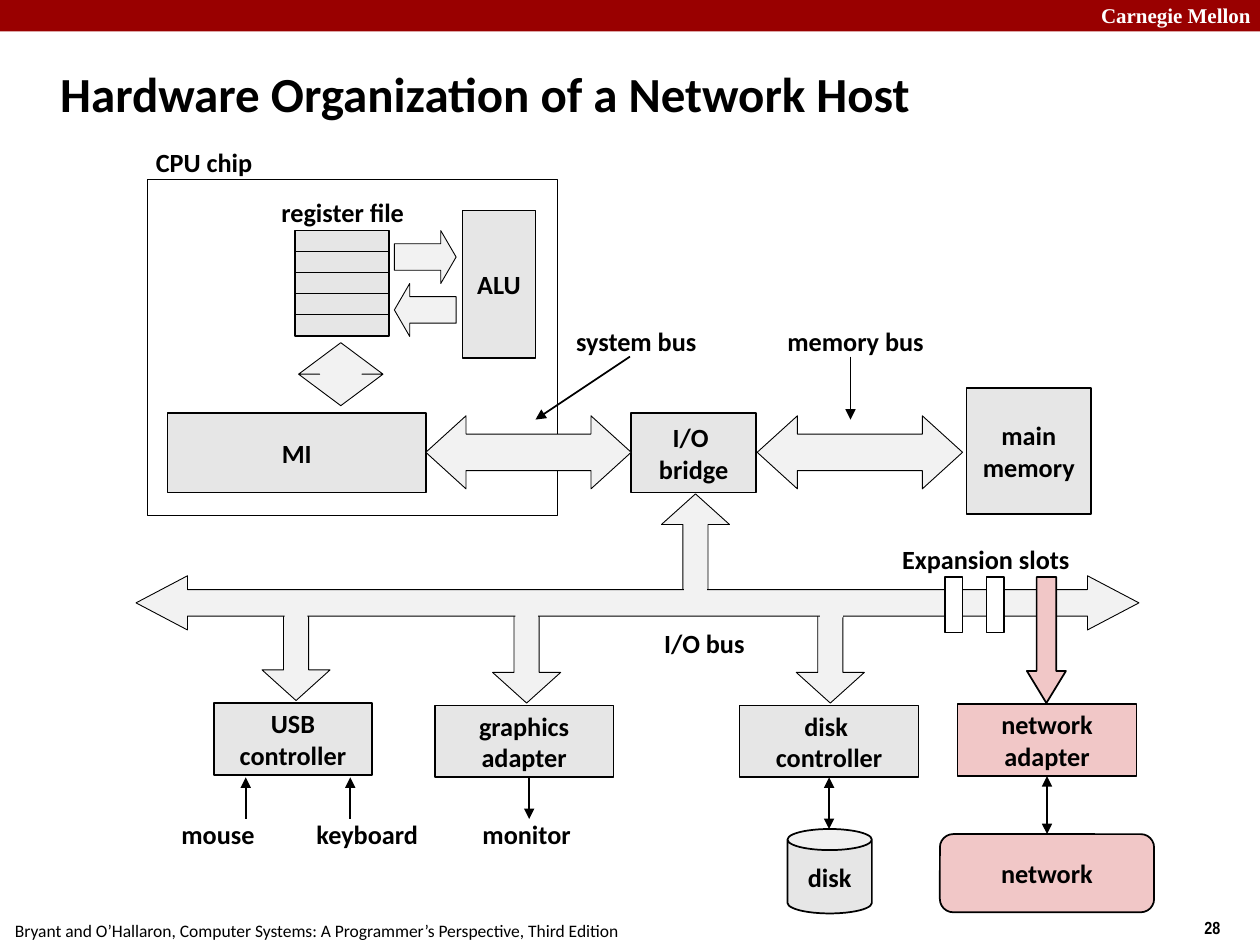
"""Build a slide on the hardware organization of a network host."""
import pptx
import pptx.dml.color
import pptx.enum.shapes
import pptx.enum.text
import pptx.oxml.ns
import pptx.util

Inches = pptx.util.Inches
Pt = pptx.util.Pt
SHAPE = pptx.enum.shapes.MSO_SHAPE
ALIGN = pptx.enum.text.PP_ALIGN
ANCHOR = pptx.enum.text.MSO_ANCHOR
AUTO_SIZE = pptx.enum.text.MSO_AUTO_SIZE
COLORS = {
    "bar": "990000",
    "black": "000000",
    "white": "FFFFFF",
    "box": "E6E6E6",
    "bus": "F2F2F2",
    "network": "F1C7C7",
}


def rgb(name):
    return pptx.dml.color.RGBColor.from_string(COLORS[name])


def write(sp, text, size=15, font="Calibri", color="black", bold=True,
          align=ALIGN.CENTER, anchor=ANCHOR.MIDDLE):
    tf = sp.text_frame
    tf.word_wrap = False
    tf.vertical_anchor = anchor
    for i, line in enumerate(text.split("\n")):
        p = tf.paragraphs[0] if i == 0 else tf.add_paragraph()
        p.text = line
        p.alignment = align
        p.font.size = Pt(size)
        p.font.name = font
        p.font.bold = bold
        p.font.color.rgb = rgb(color)


def add_label(s, x, y, w, text, h=0.35, grow=True, **style):
    sp = s.shapes.add_textbox(Inches(x), Inches(y), Inches(w), Inches(h))
    write(sp, text, **style)
    if grow:
        sp.text_frame.auto_size = AUTO_SIZE.SHAPE_TO_FIT_TEXT


def add_box(s, x, y, w, h, text="", fill="box", kind=SHAPE.RECTANGLE, line=1, adj=()):
    sp = s.shapes.add_shape(kind, Inches(x), Inches(y), Inches(w), Inches(h))
    sp.shadow.inherit = False
    for i, value in enumerate(adj):
        sp.adjustments[i] = value
    if fill:
        sp.fill.solid()
        sp.fill.fore_color.rgb = rgb(fill)
    else:
        sp.fill.background()
    if line:
        sp.line.color.rgb = rgb("black")
        sp.line.width = Pt(line)
    else:
        sp.line.fill.background()
    if text:
        write(sp, text)
    return sp


def add_block_arrow(s, kind, x, y, w, h, *adj):
    add_box(s, x, y, w, h, fill="bus", kind=kind, line=0.5, adj=adj)


def add_line(s, x1, y1, x2, y2, ends=("tailEnd",), start=None, finish=None):
    c = s.shapes.add_connector(pptx.enum.shapes.MSO_CONNECTOR.STRAIGHT,
                               Inches(x1), Inches(y1), Inches(x2), Inches(y2))
    if start:
        c.begin_connect(start, 2)
    if finish:
        c.end_connect(finish, 0)
    c.line.color.rgb = rgb("black")
    c.line.width = Pt(1)
    ln = c.line._get_or_add_ln()
    for end in ends:
        ln.append(ln.makeelement(pptx.oxml.ns.qn("a:" + end), {"type": "triangle"}))
    sp_pr = ln.getparent()
    sp_pr.append(sp_pr.makeelement(pptx.oxml.ns.qn("a:effectLst"), {}))


def add_frame(s):
    add_box(s, 0, 0, 10, 0.25, fill="bar", line=0)
    plain = {"align": ALIGN.LEFT, "anchor": ANCHOR.TOP}
    add_label(s, 8.64, -0.03, 1.43, "Carnegie Mellon", h=0.3, grow=False, size=12,
              font="Times New Roman", color="white", **plain)
    add_label(s, 9.46, 7.23, 0.75, "28", h=0.27, grow=False, size=10,
              font="Arial Narrow", **plain)
    add_label(s, 0.02, 7.25, 5.01, "Bryant and O’Hallaron, Computer Systems: "
              "A Programmer’s Perspective, Third Edition", h=0.27, grow=False,
              size=10, bold=False, **plain)
    add_label(s, 0.38, 0.31, 9.53, "Hardware Organization of a Network Host",
              h=0.85, grow=False, size=28, align=ALIGN.LEFT)


def add_cpu(s):
    add_box(s, 1.17, 1.42, 3.25, 2.67, fill=None, line=0.25)
    add_label(s, 1.12, 1.11, 1, "CPU chip")
    add_label(s, 2.13, 1.51, 1.18, "register file")
    for i in range(5):
        add_box(s, 2.34, 1.83 + i / 6, 0.75, 0.17)
    add_block_arrow(s, SHAPE.RIGHT_ARROW, 3.13, 1.83, 0.49, 0.42, 0.5, 0.29)
    add_block_arrow(s, SHAPE.LEFT_ARROW, 3.13, 2.25, 0.49, 0.42, 0.5, 0.29)
    add_box(s, 3.67, 1.67, 0.58, 1.17, "ALU")
    add_block_arrow(s, SHAPE.UP_DOWN_ARROW, 2.37, 2.72, 0.67, 0.5, 0.2, 0.5)
    add_box(s, 1.33, 3.28, 2.05, 0.63, "MI")


def add_memory_path(s):
    add_box(s, 7.67, 3.08, 0.99, 1, "main\nmemory")
    add_box(s, 5.01, 3.28, 0.99, 0.63, "I/O \nbridge")
    for x in (3.38, 6.01):
        add_block_arrow(s, SHAPE.LEFT_RIGHT_ARROW, x, 3.3, 1.63, 0.58, 0.5, 0.55)
    add_label(s, 4.47, 2.53, 1.16, "system bus")
    add_line(s, 5, 2.83, 4.25, 3.33)
    add_label(s, 6.15, 2.53, 1.28, "memory bus")
    add_line(s, 6.75, 2.83, 6.75, 3.33)


def add_io_bus(s):
    branch = (0.37, 0.45)
    add_block_arrow(s, SHAPE.UP_ARROW, 5.25, 3.92, 0.54, 0.83, *branch)
    for x, y in ((2.08, 4.78), (3.91, 4.8), (6.32, 4.8)):
        add_block_arrow(s, SHAPE.DOWN_ARROW, x, y, 0.54, 0.78, *branch)
    add_block_arrow(s, SHAPE.LEFT_RIGHT_ARROW, 1.08, 4.57, 7.96, 0.43, 0.49, 0.95)
    for x, y in ((2.26, 4.76), (4.09, 4.74), (6.51, 4.73), (5.43, 4.67)):
        add_box(s, x, y, 0.18, 0.17, fill="bus", line=0)
    add_label(s, 5.17, 4.93, 0.84, "I/O bus")
    for x in (7.5, 7.83):
        add_box(s, x, 4.58, 0.14, 0.44, fill="white")
    add_box(s, 8.15, 4.58, 0.31, 1, fill="network", kind=SHAPE.DOWN_ARROW, adj=(0.5, 0.82))
    add_label(s, 7.06, 4.26, 1.53, "Expansion slots")


def add_devices(s):
    both = ("headEnd", "tailEnd")
    add_box(s, 1.7, 5.58, 1.25, 0.57, "USB\ncontroller")
    for x in (1.95, 2.78):
        add_line(s, x, 6.17, x, 6.5, ends=("headEnd",))
    add_box(s, 3.45, 5.6, 1.42, 0.57, "graphics\nadapter")
    add_line(s, 4.2, 6.17, 4.2, 6.5)
    for x, w, text in ((1.34, 0.78, "mouse"), (2.41, 1.01, "keyboard"), (3.73, 0.9, "monitor")):
        add_label(s, x, 6.44, w, text)
    controller = add_box(s, 5.87, 5.6, 1.42, 0.57, "disk \ncontroller")
    add_box(s, 6.25, 6.58, 0.67, 0.67, "disk", kind=SHAPE.CAN, adj=(0.25,))
    add_line(s, 6.58, 6.17, 6.58, 6.58, ends=both, start=controller)
    adapter = add_box(s, 7.6, 5.59, 1.42, 0.57, "network\nadapter", fill="network")
    network = add_box(s, 7.46, 6.62, 1.7, 0.62, "network", fill="network",
                      kind=SHAPE.ROUNDED_RECTANGLE, adj=(0.17,))
    add_line(s, 8.31, 6.16, 8.31, 6.62, ends=both, start=adapter, finish=network)


def main():
    prs = pptx.Presentation()
    prs.slide_width, prs.slide_height = Inches(10), Inches(7.5)
    s = prs.slides.add_slide(prs.slide_layouts[6])
    add_frame(s)
    add_cpu(s)
    add_memory_path(s)
    add_io_bus(s)
    add_devices(s)
    prs.save("out.pptx")


if __name__ == "__main__":
    main()
